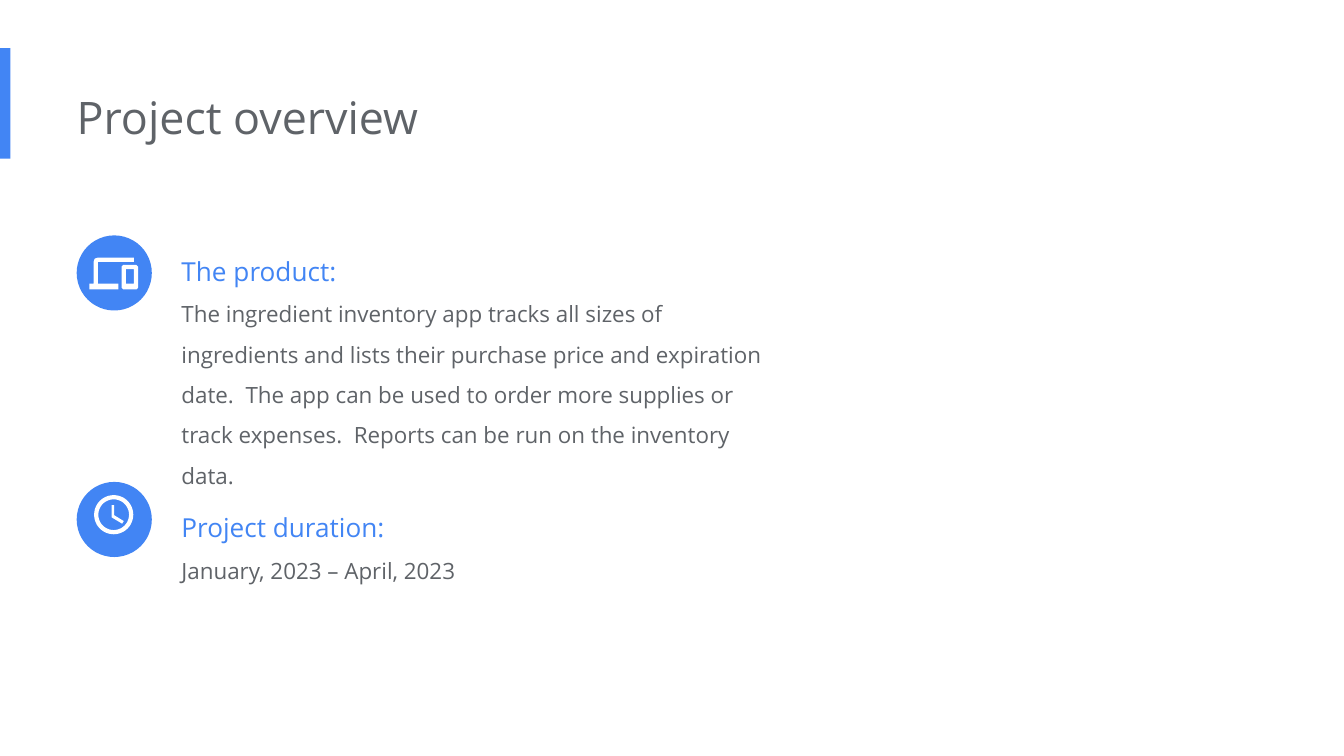
import math

from pptx import Presentation
from pptx import util as u
from pptx.dml.color import RGBColor
from pptx.enum import shapes, text

BLUE, GREY, WHITE = "4285F4", "5F6368", "FFFFFF"
FONT = "Open Sans"
LEFT = 1.45
BADGE = 1.42


def color(value):
    return RGBColor.from_string(value)


def paint(shape, fill):
    shape.shadow.inherit = False
    shape.fill.solid()
    shape.fill.fore_color.rgb = color(fill)
    shape.line.fill.background()


def add_block(slide, kind, left, top, width, height, fill):
    box = [u.Cm(v) for v in (left, top, width, height)]
    paint(slide.shapes.add_shape(kind, *box), fill)


def add_text(slide, left, top, width, height, paragraphs, spacing=1.0):
    """Write (wording, size, colour) paragraphs into a wrapped text box."""
    box = [u.Cm(v) for v in (left, top, width, height)]
    frame = slide.shapes.add_textbox(*box).text_frame
    settings = {
        "word_wrap": True,
        "auto_size": text.MSO_AUTO_SIZE.SHAPE_TO_FIT_TEXT,
        "margin_left": 0,
        "margin_top": u.Cm(0.25),
        "margin_right": u.Cm(0.25),
        "margin_bottom": u.Cm(0.25),
    }
    for name, value in settings.items():
        setattr(frame, name, value)
    for i, (wording, size, ink) in enumerate(paragraphs):
        para = frame.add_paragraph() if i else frame.paragraphs[0]
        para.line_spacing = spacing
        run = para.add_run()
        run.text = wording
        for name, value in {"name": FONT, "size": u.Pt(size)}.items():
            setattr(run.font, name, value)
        run.font.color.rgb = color(ink)


def add_icon(slide, contours):
    """Draw closed contours as one white outline; inner contours are holes."""
    builder = None
    for contour in contours:
        points = [(u.Cm(x), u.Cm(y)) for x, y in contour]
        if builder is None:
            builder = slide.shapes.build_freeform(*points[0], scale=1.0)
        else:
            builder.move_to(*points[0])
        builder.add_line_segments(points[1:], close=True)
    paint(builder.convert_to_shape(), WHITE)


def circle(x, y, radius, steps=48):
    angles = [2 * math.pi * i / steps for i in range(steps)]
    return [(x + radius * math.cos(a), y + radius * math.sin(a)) for a in angles]


def rectangle(left, top, right, bottom, cut=0):
    """Corner points of a rectangle, with optional cut corners."""
    if not cut:
        return [(left, top), (right, top), (right, bottom), (left, bottom)]
    return [(left + cut, top), (right - cut, top),
            (right, top + cut), (right, bottom - cut),
            (right - cut, bottom), (left + cut, bottom),
            (left, bottom - cut), (left, top + cut)]


def add_devices(slide):
    laptop = [(1.85, 4.95), (2.53, 4.95), (2.53, 4.87), (1.85, 4.87),
              (1.79, 4.89), (1.77, 4.95), (1.77, 5.36), (1.69, 5.36),
              (1.69, 5.47), (2.24, 5.47), (2.24, 5.36), (1.85, 5.36)]
    phone = rectangle(2.3, 5.01, 2.61, 5.47, cut=0.03)
    screen = rectangle(2.38, 5.09, 2.53, 5.36)
    add_icon(slide, [laptop, phone, screen])


def add_clock(slide):
    hands = [(2.11, 9.55), (2.11, 9.78), (2.31, 9.9),
             (2.34, 9.85), (2.16, 9.74), (2.16, 9.55)]
    add_icon(slide, [circle(2.15, 9.73, 0.37), circle(2.15, 9.73, 0.29), hands])


def add_section(slide, badge_top, text_top, width, height, heading, body, draw_icon):
    add_text(slide, 3.43, text_top, width, height,
             [(heading, 14, BLUE), (body, 12, GREY)], spacing=1.5)
    add_block(slide, shapes.MSO_SHAPE.OVAL, LEFT, badge_top, BADGE, BADGE, BLUE)
    draw_icon(slide)


def main():
    deck = Presentation()
    deck.slide_width, deck.slide_height = u.Cm(25.4), u.Cm(14.29)
    slide = deck.slides.add_slide(deck.slide_layouts[6])

    # Title with accent bar
    add_block(slide, shapes.MSO_SHAPE.RECTANGLE, 0, 0.91, 0.2, 2.09, BLUE)
    add_text(slide, LEFT, 1.45, 17.1, 1.55, [("Project overview", 24, GREY)])

    # Product and duration
    add_section(slide, 4.45, 4.29, 11.35, 5.26, "The product:",
                "The ingredient inventory app tracks all sizes of ingredients "
                "and lists their purchase price and expiration date.  The app "
                "can be used to order more supplies or track expenses.  "
                "Reports can be run on the inventory data.", add_devices)
    add_section(slide, 9.11, 9.13, 9.58, 2.18, "Project duration:",
                "January, 2023 – April, 2023", add_clock)

    deck.save("out.pptx")


if __name__ == "__main__":
    main()
